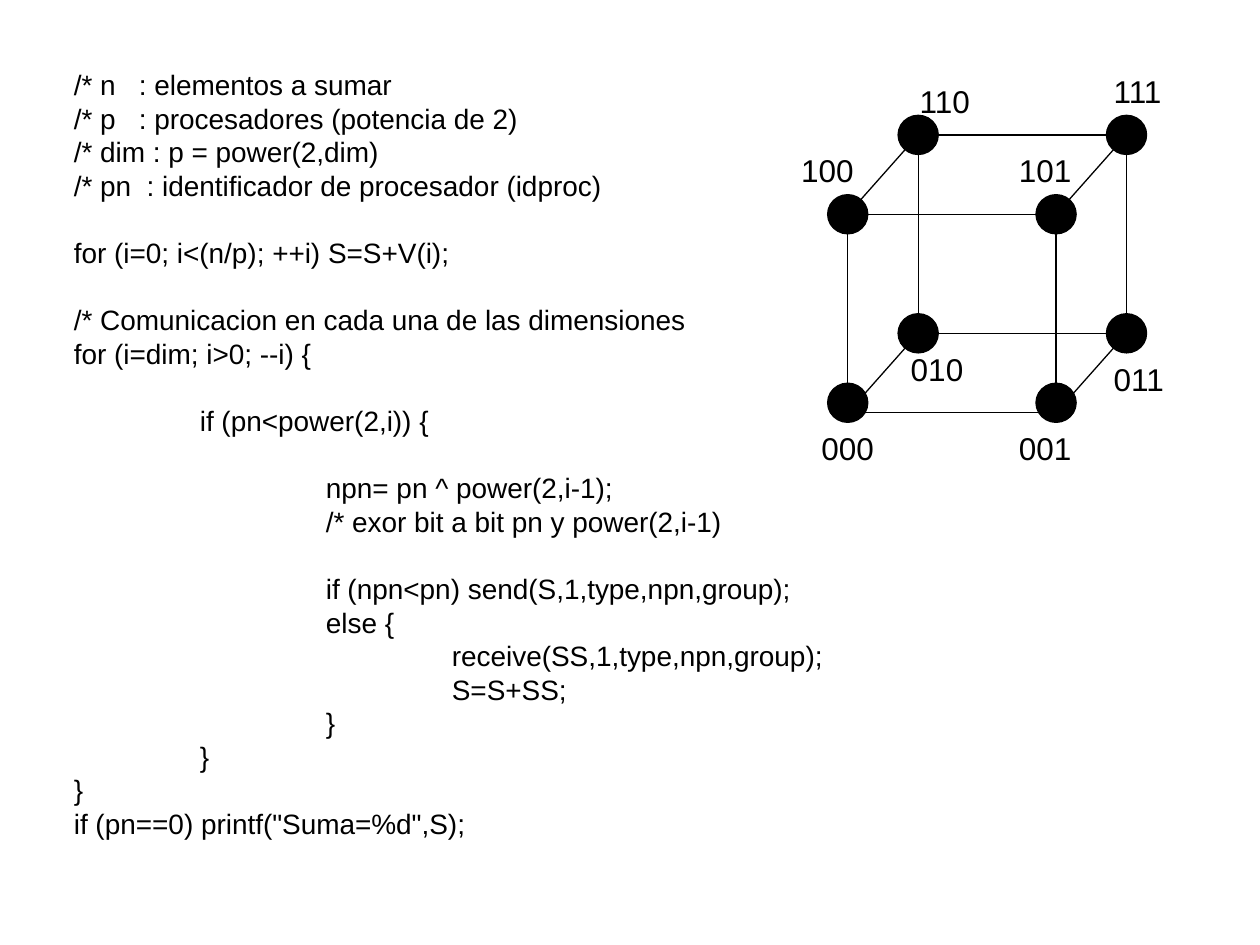
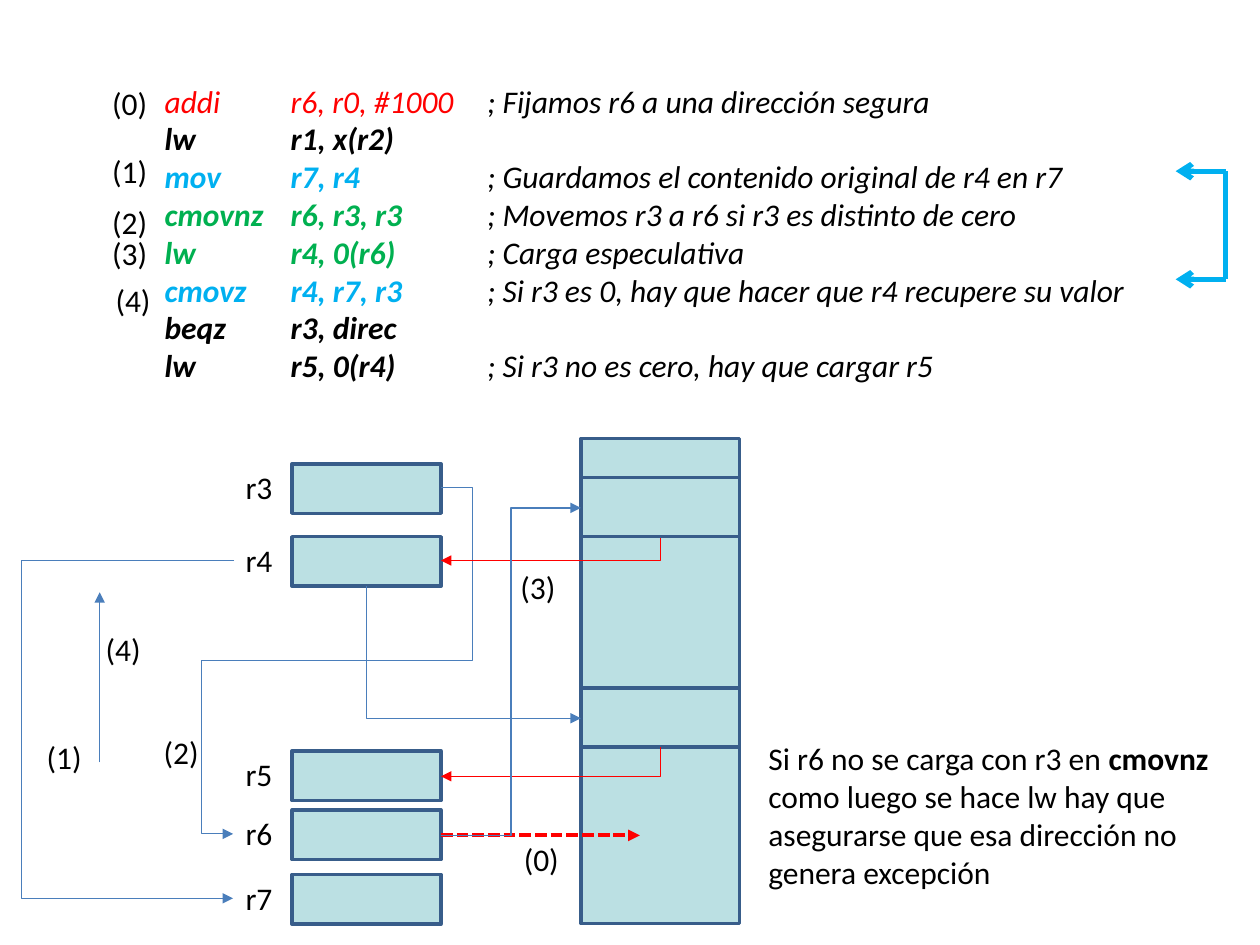
from dataclasses import dataclass
from itertools import product

from lxml.etree import SubElement
from pptx import Presentation
from pptx.dml.color import RGBColor
from pptx.enum.dml import MSO_LINE
from pptx.enum.shapes import MSO_CONNECTOR as Link, MSO_SHAPE as Preset
from pptx.oxml.ns import qn
from pptx.util import Cm, Pt

BLACK, RED, CYAN, GREEN = "000000", "FF0000", "00B0F0", "00B050"
BLUE, CELL_FILL, CELL_LINE = "4A7EBB", "BBE0E3", "385D8A"
LINE_HEIGHT = 1.2
LABEL_HEIGHT = 1.02


@dataclass
class Run:
    text: str
    color: str = BLACK
    bold: bool = False
    italic: bool = False


@dataclass
class Line:
    runs: list[Run]
    level: int = 0
    gap: bool = False


@dataclass
class Label:
    text: str
    left: float
    top: float


@dataclass
class Route:
    points: list[tuple[float, float]]
    color: str = BLUE
    width: float = 0.75
    arrow: str | None = "triangle"
    dash: MSO_LINE | None = None
    link: Link = Link.STRAIGHT


@dataclass
class Instruction:
    operation: str
    operands: str
    comment: str = ""
    color: str = BLACK
    bold: bool = True


def rgb(value: str) -> RGBColor:
    return RGBColor.from_string(value)


def add_text(slide, box: tuple, lines: list[Line], font: str, size: int, tabs: tuple = ()) -> None:
    frame = slide.shapes.add_textbox(*map(Cm, box)).text_frame
    frame.word_wrap = True
    for index, line in enumerate(lines):
        paragraph = frame.paragraphs[0] if index == 0 else frame.add_paragraph()
        paragraph.line_spacing = Pt(size * LINE_HEIGHT)
        if line.gap:
            paragraph.space_before = Pt(size * LINE_HEIGHT)
        properties = paragraph._p.get_or_add_pPr()
        if line.level:
            properties.set("marL", str(Cm(2.54 * line.level)))
        if tabs:
            tab_list = SubElement(properties, qn("a:tabLst"))
            for position in tabs:
                SubElement(tab_list, qn("a:tab"), pos=str(Cm(position)), algn="l")
        for part in line.runs:
            run = paragraph.add_run()
            run.text = part.text
            formats = {"name": font, "size": Pt(size), "bold": part.bold, "italic": part.italic}
            for name, value in formats.items():
                setattr(run.font, name, value)
            run.font.color.rgb = rgb(part.color)


def add_label(slide, label: Label, width: float, font: str) -> None:
    add_text(slide, (label.left, label.top, width, LABEL_HEIGHT), [Line([Run(label.text)])], font, 18)


def add_preset(slide, preset: Preset, box: tuple, fill: str | None, line: str, width: float) -> None:
    shape = slide.shapes.add_shape(preset, *map(Cm, box))
    shape.shadow.inherit = False
    if fill:
        shape.fill.solid()
        shape.fill.fore_color.rgb = rgb(fill)
    else:
        shape.fill.background()
    shape.line.color.rgb = rgb(line)
    shape.line.width = Pt(width)


def add_route(slide, route: Route) -> None:
    points = [(Cm(x), Cm(y)) for x, y in route.points]
    if len(points) == 2:
        shape = slide.shapes.add_connector(route.link, *points[0], *points[1])
        SubElement(shape._element.spPr, qn("a:effectLst"))
    else:
        builder = slide.shapes.build_freeform(*points[0])
        builder.add_line_segments(points[1:], close=False)
        shape = builder.convert_to_shape()
        shape.fill.background()
        shape.shadow.inherit = False
    shape.line.color.rgb = rgb(route.color)
    shape.line.width = Pt(route.width)
    if route.dash:
        shape.line.dash_style = route.dash
    if route.arrow:
        SubElement(shape._element.spPr.find(qn("a:ln")), qn("a:tailEnd"), type=route.arrow)


SUM_CODE = [
    (0, False, "/* n   : elementos a sumar"),
    (0, False, "/* p   : procesadores (potencia de 2)"),
    (0, False, "/* dim : p = power(2,dim)"),
    (0, False, "/* pn  : identificador de procesador (idproc)"),
    (0, True, "for (i=0; i<(n/p); ++i) S=S+V(i);"),
    (0, True, "/* Comunicacion en cada una de las dimensiones"),
    (0, False, "for (i=dim; i>0; --i) {"),
    (1, True, "if (pn<power(2,i)) {"),
    (2, True, "npn= pn ^ power(2,i-1);"),
    (2, False, "/* exor bit a bit pn y power(2,i-1)"),
    (2, True, "if (npn<pn) send(S,1,type,npn,group);"),
    (2, False, "else {"),
    (3, False, "receive(SS,1,type,npn,group);"),
    (3, False, "S=S+SS;"),
    (2, False, "}"),
    (1, False, "}"),
    (0, False, "}"),
    (0, False, 'if (pn==0) printf("Suma=%d",S);'),
]
CUBE_LEFT, CUBE_TOP = 17.09, 4.32
CUBE_WIDTH, CUBE_HEIGHT = 4.2, 4.0
DEPTH_X, DEPTH_Y = 1.42, -1.6
DOT_WIDTH, DOT_HEIGHT, FRONT_DOT_LIFT = 0.81, 0.79, 0.2
PROCESSORS = [
    Label("000", 16.31, 8.53), Label("001", 20.29, 8.53),
    Label("010", 18.11, 6.93), Label("011", 22.2, 7.14),
    Label("111", 22.2, 1.32), Label("101", 20.29, 2.92),
    Label("100", 15.9, 2.92), Label("110", 18.29, 1.52),
]


def corner(right: int, back: int, bottom: int) -> tuple[float, float]:
    return (CUBE_LEFT + right * CUBE_WIDTH + back * DEPTH_X,
            CUBE_TOP + bottom * CUBE_HEIGHT + back * DEPTH_Y)


def build_hypercube_slide(slide) -> None:
    lines = [Line([Run(text)], level, gap) for level, gap, text in SUM_CODE]
    add_text(slide, (1.24, 1.24, 16.15, 15.82), lines, "Arial", 16)
    for back in (0, 1):
        face = (*corner(0, back, 0), CUBE_WIDTH, CUBE_HEIGHT)
        add_preset(slide, Preset.RECTANGLE, face, None, BLACK, 0.75)
    for right, bottom in product((0, 1), repeat=2):
        edge = [corner(right, 0, bottom), corner(right, 1, bottom)]
        add_route(slide, Route(edge, BLACK, arrow=None))
    for right, back, bottom in product((0, 1), repeat=3):
        x, y = corner(right, back, bottom)
        if bottom and not back:
            y -= FRONT_DOT_LIFT
        dot = (x - DOT_WIDTH / 2, y - DOT_HEIGHT / 2, DOT_WIDTH, DOT_HEIGHT)
        add_preset(slide, Preset.OVAL, dot, BLACK, BLACK, 0.75)
    for label in PROCESSORS:
        add_label(slide, label, 2.01, "Arial")


INSTRUCTIONS = [
    Instruction("addi", "r6, r0, #1000", "; Fijamos r6 a una dirección segura", RED, False),
    Instruction("lw", "r1, x(r2)"),
    Instruction("mov", "r7, r4", "; Guardamos el contenido original de r4 en r7", CYAN),
    Instruction("cmovnz", "r6, r3, r3", "; Movemos r3 a r6 si r3 es distinto de cero", GREEN),
    Instruction("lw", "r4, 0(r6)", "; Carga especulativa", GREEN),
    Instruction("cmovz", "r4, r7, r3", "; Si r3 es 0, hay que hacer que r4 recupere su valor", CYAN),
    Instruction("beqz", "r3, direc"),
    Instruction("lw", "r5, 0(r4)", "; Si r3 no es cero, hay que cargar r5"),
]
REGISTER_TOPS = {"r3": 9.35, "r4": 10.82, "r5": 15.14, "r6": 16.33, "r7": 17.63}
REGISTER_LEFT, REGISTER_WIDTH, REGISTER_HEIGHT = 5.89, 3.0, 1.0
NAME_WIDTH = 1.19
MEMORY_LEFT, MEMORY_WIDTH = 11.71, 3.2
MEMORY_BLOCKS = [(8.84, 9.78), (9.63, 1.19), (13.87, 1.19)]
STEPS = [
    Label("(0)", 2.01, 1.57), Label("(1)", 2.01, 2.95), Label("(2)", 2.01, 3.96),
    Label("(3)", 2.01, 4.6), Label("(4)", 2.08, 5.54),
    Label("(0)", 10.31, 16.81), Label("(1)", 0.69, 14.76), Label("(2)", 3.05, 14.66),
    Label("(3)", 10.24, 11.33), Label("(4)", 1.88, 12.57),
]
ROUTES = [
    Route([(8.89, 9.83), (9.53, 9.83), (9.53, 13.31), (4.06, 13.31), (4.06, 16.81), (4.7, 16.81)]),
    Route([(13.31, 10.85), (13.31, 11.3), (8.89, 11.3)], RED),
    Route([(7.39, 11.81), (7.39, 14.48), (11.71, 14.48)]),
    Route([(13.31, 15.06), (13.31, 15.65), (8.89, 15.65)], RED),
    Route([(8.89, 16.84), (12.9, 16.84)], RED, 2.25, dash=MSO_LINE.SQUARE_DOT),
    Route([(8.89, 16.84), (11.71, 10.24)], link=Link.ELBOW),
    Route([(2.01, 15.37), (2.01, 11.94)]),
    Route([(4.72, 11.3), (0.43, 11.3), (0.43, 18.11), (4.7, 18.11)]),
    Route([(24.71, 3.45), (24.71, 5.63)], CYAN, 3, None),
    Route([(24.71, 3.45), (23.7, 3.45)], CYAN, 3, "arrow"),
    Route([(24.71, 5.63), (23.7, 5.63)], CYAN, 3, "arrow"),
]
NOTE = [
    Run("Si r6 no se carga con r3 en "),
    Run("cmovnz", bold=True),
    Run(" como luego se hace lw hay que asegurarse que esa dirección no genera excepción"),
]


def instruction_line(item: Instruction) -> Line:
    runs = [Run(f"{item.operation}\t{item.operands}", item.color, item.bold, True)]
    if item.comment:
        runs.append(Run(f"\t{item.comment}", italic=True))
    return Line(runs)


def build_speculative_load_slide(slide) -> None:
    lines = [instruction_line(item) for item in INSTRUCTIONS]
    add_text(slide, (3.07, 1.52, 21.01, 7.11), lines, "Calibri", 18, (2.54, 6.5))
    for name, top in REGISTER_TOPS.items():
        box = (REGISTER_LEFT, top, REGISTER_WIDTH, REGISTER_HEIGHT)
        add_preset(slide, Preset.RECTANGLE, box, CELL_FILL, CELL_LINE, 2)
        add_label(slide, Label(name, REGISTER_LEFT - NAME_WIDTH, top - 0.04), NAME_WIDTH, "Calibri")
    for top, height in MEMORY_BLOCKS:
        block = (MEMORY_LEFT, top, MEMORY_WIDTH, height)
        add_preset(slide, Preset.RECTANGLE, block, CELL_FILL, CELL_LINE, 2)
    for route in ROUTES:
        add_route(slide, route)
    for step in STEPS:
        add_label(slide, step, 1.55, "Calibri")
    add_text(slide, (15.24, 14.78, 9.8, 3.3), [Line(NOTE)], "Calibri", 18)


def main() -> None:
    presentation = Presentation()
    presentation.slide_width, presentation.slide_height = Cm(25.4), Cm(19.05)
    blank = presentation.slide_layouts[6]
    for build in (build_hypercube_slide, build_speculative_load_slide):
        build(presentation.slides.add_slide(blank))
    presentation.save("out.pptx")


if __name__ == "__main__":
    main()
